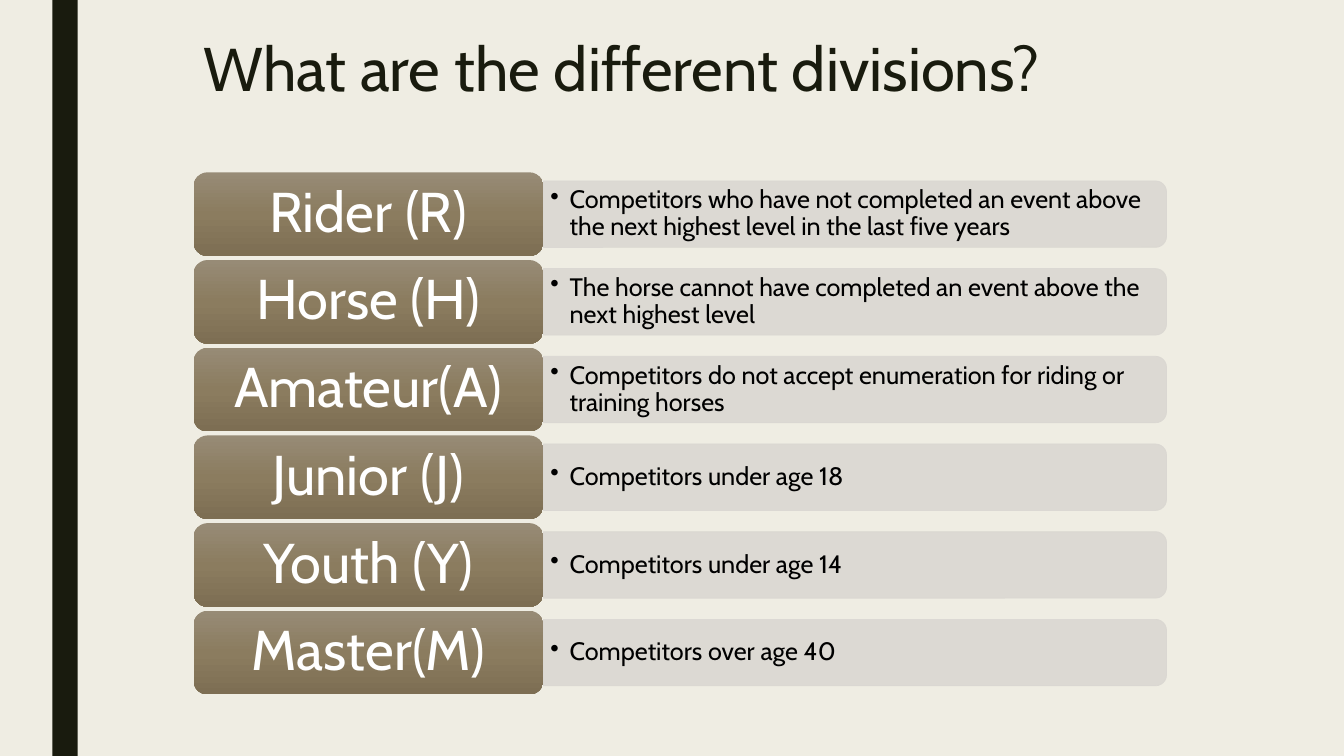
"""Build a slide listing the competition divisions and who may enter each."""
import copy
from dataclasses import dataclass

import lxml.etree
import pptx
import pptx.dml.color
import pptx.enum.shapes
import pptx.enum.text
import pptx.oxml.ns
import pptx.shapes.autoshape
import pptx.slide
import pptx.text.text
import pptx.util

Inches = pptx.util.Inches
RGBColor = pptx.dml.color.RGBColor
Shapes = pptx.enum.shapes.MSO_SHAPE
Align = pptx.enum.text.PP_ALIGN
Anchor = pptx.enum.text.MSO_ANCHOR
qn = pptx.oxml.ns.qn

FONT = "Cabin"
CREAM = RGBColor(0xEF, 0xED, 0xE3)
DARK = RGBColor(0x19, 0x1B, 0x0E)
GREY = RGBColor(0xDA, 0xD7, 0xD2)
BLACK = RGBColor(0, 0, 0)
WHITE = RGBColor(0xFF, 0xFF, 0xFF)
BROWNS = (
    RGBColor(0x97, 0x8B, 0x76),
    RGBColor(0x8B, 0x7C, 0x5F),
    RGBColor(0x7D, 0x6E, 0x53),
)

LEFT, TOP, PITCH = 1.92, 1.71, 0.87
LABEL_WIDTH, LABEL_HEIGHT = 3.47, 0.83
BAR_LENGTH, BAR_THICKNESS = 6.18, 0.66


@dataclass(frozen=True)
class Division:
    label: str
    rule: str


DIVISIONS = (
    Division("Rider (R)", "Competitors who have not completed an event above the next highest level in the last five years"),
    Division("Horse (H)", "The horse cannot have completed an event above the next highest level"),
    Division("Amateur(A)", "Competitors do not accept enumeration for riding or training horses"),
    Division("Junior (J)", "Competitors under age 18"),
    Division("Youth (Y)", "Competitors under age 14"),
    Division("Master(M)", "Competitors over age 40"),
)


def add_shape(page: pptx.slide.Slide, kind: Shapes, left: float, top: float,
              width: float, height: float) -> pptx.shapes.autoshape.Shape:
    """Add a preset shape without shadow or outline."""
    shape = page.shapes.add_shape(kind, Inches(left), Inches(top), Inches(width), Inches(height))
    shape.shadow.inherit = False
    shape.line.fill.background()
    return shape


def write(frame: pptx.text.text.TextFrame, text: str, size: int, color: RGBColor,
          spacing: float, anchor: Anchor, align: Align, inset_x: float, inset_y: float) -> None:
    """Fill a text frame with one formatted paragraph."""
    frame.word_wrap = True
    frame.vertical_anchor = anchor
    frame.margin_left = frame.margin_right = Inches(inset_x)
    frame.margin_top = frame.margin_bottom = Inches(inset_y)
    frame.text = text
    para = frame.paragraphs[0]
    para.alignment = align
    para.line_spacing = spacing
    font = para.runs[0].font
    font.name, font.size, font.color.rgb = FONT, pptx.util.Pt(size), color


def add_bar(page: pptx.slide.Slide, middle: float) -> None:
    """Draw the translucent bar, rounded at its right end."""
    center = LEFT + LABEL_WIDTH + BAR_LENGTH / 2
    bar = add_shape(page, Shapes.ROUND_2_SAME_RECTANGLE, center - BAR_THICKNESS / 2,
                    middle - BAR_LENGTH / 2, BAR_THICKNESS, BAR_LENGTH)
    bar.rotation = 90
    for fill in (bar.fill, bar.line.fill):
        fill.solid()
        fill.fore_color.rgb = GREY
    bar.line.width = pptx.util.Pt(0.5)
    for color in bar._element.spPr.iter(qn("a:srgbClr")):
        lxml.etree.SubElement(color, qn("a:alpha")).set("val", "90000")


def add_rule(page: pptx.slide.Slide, rule: str, middle: float) -> None:
    """Write the bulleted rule over its bar."""
    box = page.shapes.add_textbox(Inches(LEFT + LABEL_WIDTH), Inches(middle - 0.3), Inches(6.14), Inches(0.6))
    box.text_frame.text = rule
    write(box.text_frame, rule, 18, BLACK, 0.9, Anchor.MIDDLE, Align.LEFT, 0.07, 0.04)
    properties = box.text_frame.paragraphs[0]._p.get_or_add_pPr()
    properties.set("marL", str(Inches(0.19)))
    properties.set("indent", str(Inches(-0.19)))
    lxml.etree.SubElement(properties, qn("a:buChar")).set("char", "•")


def add_label(page: pptx.slide.Slide, label: str, top: float) -> None:
    """Draw the gradient label of a division."""
    shape = add_shape(page, Shapes.ROUNDED_RECTANGLE, LEFT, top, LABEL_WIDTH, LABEL_HEIGHT)
    shape.fill.gradient()
    shape.fill.gradient_angle = 270
    stops = shape._element.spPr.find(".//" + qn("a:gsLst"))
    stops.insert(1, copy.deepcopy(stops[0]))
    for index, (stop, color) in enumerate(zip(shape.fill.gradient_stops, BROWNS)):
        stop.position = index / 2
        stop.color.rgb = color
    write(shape.text_frame, label, 40, WHITE, 0.9, Anchor.MIDDLE, Align.CENTER, 0.17, 0.04)


def main() -> None:
    """Build and save the deck."""
    deck = pptx.Presentation()
    deck.slide_width, deck.slide_height = Inches(13.33), Inches(7.5)
    page = deck.slides.add_slide(deck.slide_layouts[6])
    page.background.fill.solid()
    page.background.fill.fore_color.rgb = CREAM

    stripe = add_shape(page, Shapes.RECTANGLE, 0.52, 0, 0.25, 7.5)
    stripe.fill.solid()
    stripe.fill.fore_color.rgb = DARK

    title = page.shapes.add_textbox(Inches(LEFT), Inches(0.34), Inches(10.5), Inches(1.62))
    write(title.text_frame, "What are the different divisions?", 44, DARK, 0.89,
          Anchor.TOP, Align.LEFT, 0.1, 0.05)

    for index, division in enumerate(DIVISIONS):
        top = TOP + index * PITCH
        middle = top + LABEL_HEIGHT / 2
        add_bar(page, middle)
        add_rule(page, division.rule, middle)
        add_label(page, division.label, top)

    deck.save("out.pptx")


if __name__ == "__main__":
    main()
